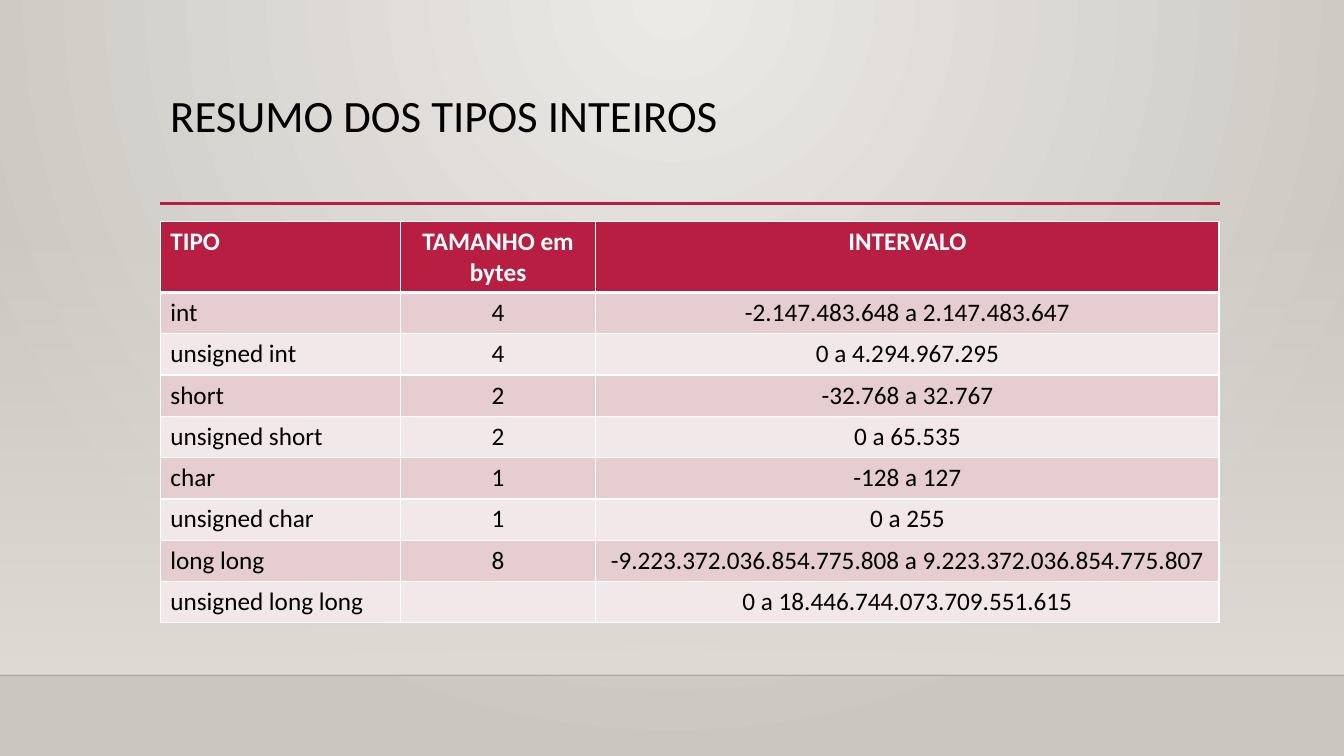
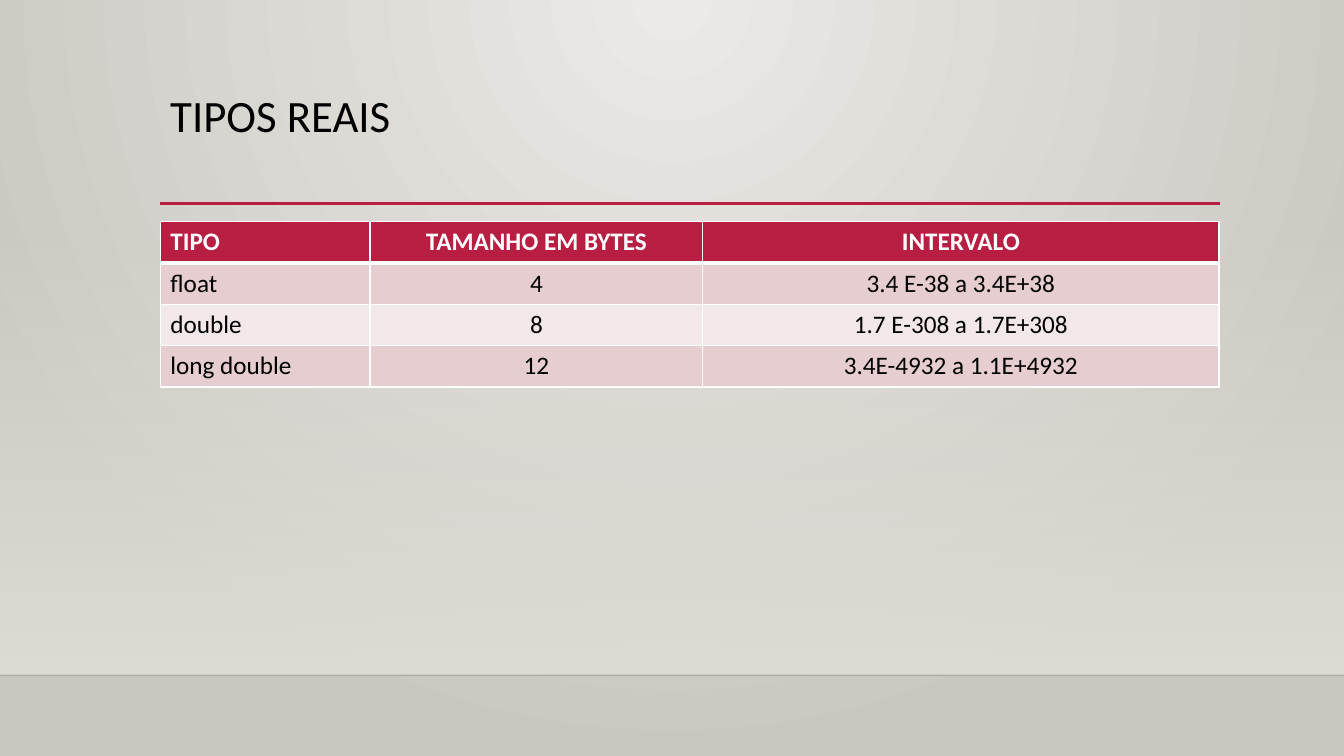
from lxml import etree
from pptx import Presentation
from pptx.dml.color import RGBColor
from pptx.enum.shapes import MSO_CONNECTOR, MSO_SHAPE
from pptx.enum.text import MSO_ANCHOR, PP_ALIGN
from pptx.oxml.ns import qn
from pptx.util import Inches, Pt

LEFT, MID = PP_ALIGN.LEFT, PP_ALIGN.CENTER
TOP = MSO_ANCHOR.TOP
RECT = MSO_SHAPE.RECTANGLE
LINE = MSO_CONNECTOR.STRAIGHT

BLACK = RGBColor(0x00, 0x00, 0x00)
WHITE = RGBColor(0xFF, 0xFF, 0xFF)
RED = RGBColor(0xB7, 0x1E, 0x42)
ROSE = RGBColor(0xE6, 0xCD, 0xCF)
PALE = RGBColor(0xF3, 0xE8, 0xE9)
LIGHT = RGBColor(0xEC, 0xEA, 0xE7)
DARK = RGBColor(0xCA, 0xC7, 0xC1)
SAND = RGBColor(0xDF, 0xDB, 0xD5)

FONT = "Calibri"
EDGE = 1.59
FLOOR = 6.7
ROW = 0.41

PAGES = [
    ("RESUMO DOS TIPOS INTEIROS", [2.38, 1.94, 6.18], [
        ("TIPO", "TAMANHO em bytes", "INTERVALO"),
        ("int", "4", "-2.147.483.648 a 2.147.483.647"),
        ("unsigned int", "4", "0 a 4.294.967.295"),
        ("short", "2", "-32.768 a 32.767"),
        ("unsigned short", "2", "0 a 65.535"),
        ("char", "1", "-128 a 127"),
        ("unsigned char", "1", "0 a 255"),
        ("long long", "8", "-9.223.372.036.854.775.808 a 9.223.372.036.854.775.807"),
        ("unsigned long long", "", "0 a 18.446.744.073.709.551.615"),
    ]),
    ("TIPOS REAIS", [2.08, 3.3, 5.12], [
        ("TIPO", "TAMANHO EM BYTES", "INTERVALO"),
        ("float", "4", "3.4 E-38 a 3.4E+38"),
        ("double", "8", "1.7 E-308 a 1.7E+308"),
        ("long double", "12", "3.4E-4932 a 1.1E+4932"),
    ]),
]


def write(frame, text, size=18, color=BLACK, bold=False, align=LEFT, space=1.0):
    para = frame.paragraphs[0]
    para.alignment = align
    para.line_spacing = space
    para.font.size = Pt(size)
    if text:
        run = para.add_run()
        run.text = text
        run.font.name = FONT
        run.font.size = Pt(size)
        run.font.bold = bold
        run.font.color.rgb = color


def fade(shape, share):
    tint = shape.element.spPr.find(".//" + qn("a:srgbClr"))
    etree.SubElement(tint, qn("a:alpha"), val=str(share * 1000))


prs = Presentation()
prs.slide_width = Inches(13.33)
prs.slide_height = Inches(7.5)
blank = prs.slide_layouts[6]

for title, widths, rows in PAGES:
    slide = prs.slides.add_slide(blank)

    back = slide.background.fill
    back.gradient()
    for stop, color in zip(back.gradient_stops, (LIGHT, DARK)):
        stop.color.rgb = color
    grad = slide.element.find(".//" + qn("a:gradFill"))
    grad.remove(grad.find(qn("a:lin")))
    glow = etree.SubElement(grad, qn("a:path"), {"path": "circle"})
    etree.SubElement(glow, qn("a:fillToRect"), l="43000", t="0", r="43000", b="100000")

    wall = slide.shapes.add_shape(RECT, 0, Inches(2.21), prs.slide_width, Inches(FLOOR - 2.21))
    wall.shadow.inherit = False
    wall.line.fill.background()
    wall.fill.gradient()
    wall.fill.gradient_angle = 270
    for stop in wall.fill.gradient_stops:
        stop.color.rgb = SAND
    fade(wall, 0)

    for start, end, y, color, weight, share in [
        (0, 13.33, FLOOR, BLACK, 1, 20),
        (EDGE, 12.1, 2.02, RED, 2.5, 100),
    ]:
        rule = slide.shapes.add_connector(LINE, Inches(start), Inches(y), Inches(end), Inches(y))
        rule.line.color.rgb = color
        rule.line.width = Pt(weight)
        fade(rule, share)
        etree.SubElement(rule.element.spPr, qn("a:effectLst"))

    box = slide.shapes.add_textbox(Inches(EDGE), Inches(0.88), Inches(10.5), Inches(1.15))
    box.text_frame.word_wrap = True
    box.text_frame.vertical_anchor = TOP
    write(box.text_frame, title, size=32, space=0.9)

    table = slide.shapes.add_table(
        len(rows), len(widths), Inches(EDGE), Inches(2.2),
        Inches(sum(widths)), Inches(ROW * len(rows))).table
    table.horz_banding = False
    for col, width in zip(table.columns, widths):
        col.width = Inches(width)
    for r, row in enumerate(rows):
        table.rows[r].height = Inches(ROW)
        head = r == 0
        shade = RED if head else ROSE if r % 2 else PALE
        for c, text in enumerate(row):
            cell = table.cell(r, c)
            write(cell.text_frame, text, color=WHITE if head else BLACK,
                  bold=head, align=MID if c else LEFT)
            props = cell._tc.get_or_add_tcPr()
            for side in "LRTB":
                thick = (side == "B" and head) or (side == "T" and r == 1)
                edge = etree.SubElement(props, qn("a:ln" + side), w=str(Pt(3 if thick else 1)))
                paint = etree.SubElement(edge, qn("a:solidFill"))
                etree.SubElement(paint, qn("a:srgbClr"), val=str(WHITE))
            cell.fill.solid()
            cell.fill.fore_color.rgb = shade

prs.save("out.pptx")
